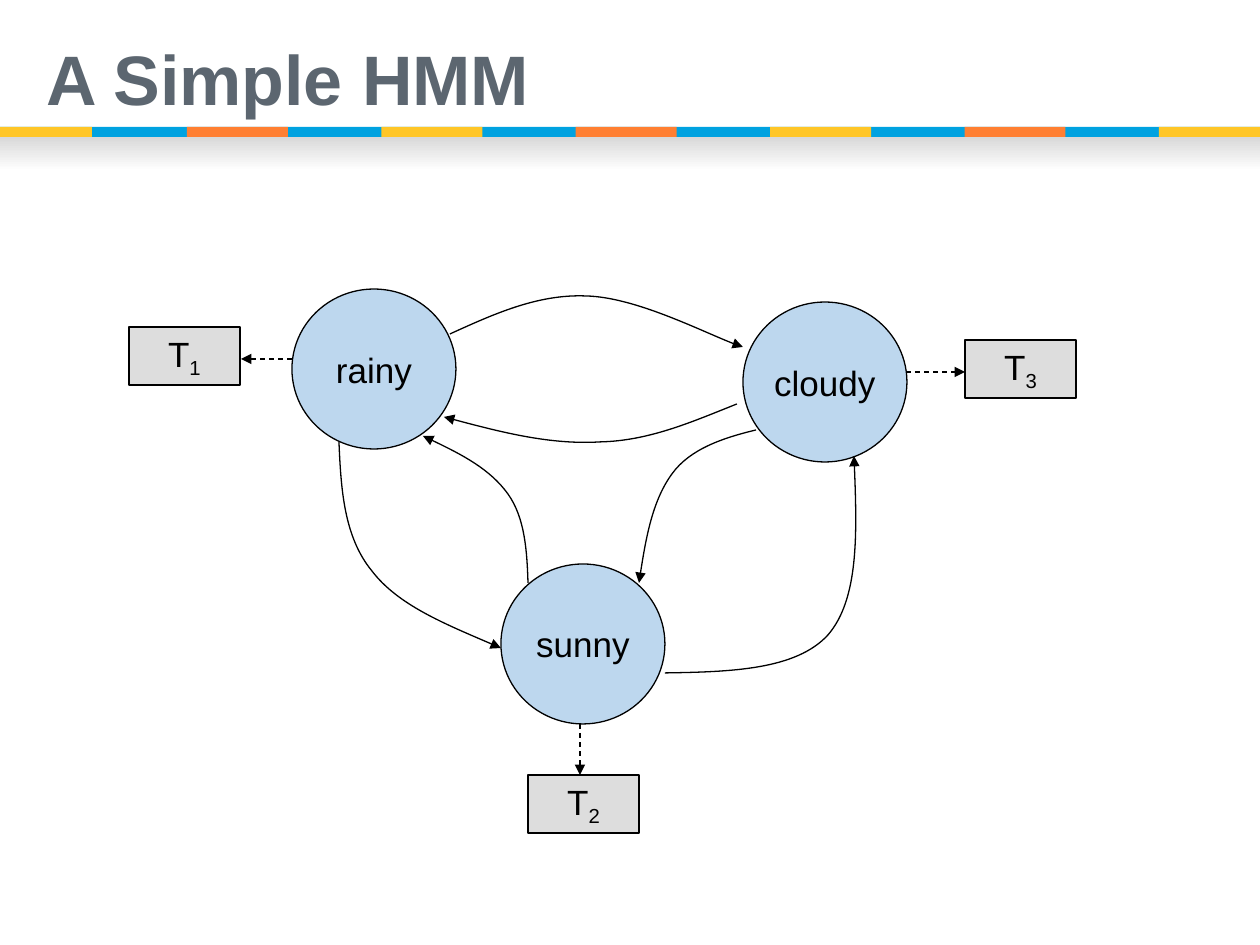
from lxml.etree import SubElement
from pptx import Presentation
from pptx.dml.color import RGBColor
from pptx.enum.dml import MSO_LINE
from pptx.enum.shapes import MSO_CONNECTOR, MSO_SHAPE
from pptx.enum.text import MSO_ANCHOR, PP_ALIGN
from pptx.oxml.ns import qn
from pptx.util import Emu, Pt

PX = 914400 // 126
WIDTH, HEIGHT = 1260, 945

BLACK = RGBColor(0x00, 0x00, 0x00)
WHITE = RGBColor(0xFF, 0xFF, 0xFF)
SLATE = RGBColor(0x5C, 0x66, 0x70)
BLUE = RGBColor(0x00, 0xA2, 0xE0)
YELLOW = RGBColor(0xFF, 0xC6, 0x27)
ORANGE = RGBColor(0xFF, 0x7F, 0x32)
STATE_BLUE = RGBColor(0xBD, 0xD7, 0xEE)
BOX_GRAY = RGBColor(0xDD, 0xDD, 0xDD)
SHADE = RGBColor(0xD9, 0xD9, 0xD9)

TITLE = "A Simple HMM"
STATE_SIZE = (164, 160)
STATES = [("rainy", 292, 289), ("sunny", 501, 564), ("cloudy", 743, 302)]
BOX_SIZE = (111, 58)
OUTPUTS = [("2", 528, 775), ("1", 129, 327), ("3", 965, 340)]
EMISSIONS = [
    ((580, 724), (580, 775)),
    ((292, 359), (241, 359)),
    ((906, 372), (965, 372)),
]
# Each transition is a start point, then three Bezier points per segment.
TRANSITIONS = {
    "rainy to cloudy": [(450, 334), (494, 314), (538, 294), (586, 296),
                        (635, 297), (717, 339), (743, 347)],
    "rainy to sunny": [(339, 442), (341, 489), (344, 537), (372, 571),
                       (398, 605), (450, 626), (501, 648)],
    "sunny to cloudy": [(665, 673), (731, 672), (796, 670), (828, 635),
                        (859, 599), (857, 527), (854, 456)],
    "cloudy to rainy": [(737, 404), (692, 422), (649, 441), (600, 442),
                        (551, 445), (496, 431), (444, 417)],
    "cloudy to sunny": [(756, 430), (723, 438), (690, 449), (672, 474),
                        (653, 500), (645, 542), (639, 583)],
    "sunny to rainy": [(528, 583), (527, 551), (525, 518), (508, 494),
                       (490, 469), (457, 452), (423, 436)],
}

STRIPE_TOP, STRIPE_HEIGHT = 127, 10
TILE_LEFT, TILE_STEP, TILE_WIDTH = 187, 194.4, 101


def emu(*lengths):
    return [Emu(round(length * PX)) for length in lengths]


def write(shape, text, size=20, color=BLACK, bold=False, subscript="",
          align=PP_ALIGN.CENTER, wrap=False, line_spacing=None):
    frame = shape.text_frame
    frame.word_wrap = wrap
    frame.vertical_anchor = MSO_ANCHOR.MIDDLE
    paragraph = frame.paragraphs[0]
    paragraph.alignment = align
    paragraph.line_spacing = line_spacing
    for part in filter(None, (text, subscript)):
        run = paragraph.add_run()
        run.text = part
        run.font.name = "Arial"
        run.font.size = Pt(size)
        run.font.bold = bold
        run.font.color.rgb = color
    if subscript:
        run.font._element.set("baseline", "-25000")


def add_filled(shapes, kind, box, fill, outlined=False):
    shape = shapes.add_shape(kind, *emu(*box))
    shape.shadow.inherit = False
    shape.fill.solid()
    shape.fill.fore_color.rgb = fill
    if outlined:
        shape.line.color.rgb = BLACK
        shape.line.width = Pt(0.75)
    else:
        shape.line.fill.background()
    return shape


def make_arrow(shape):
    shape.line.color.rgb = BLACK
    shape.line.width = Pt(0.75)
    SubElement(shape.line._get_or_add_ln(), qn("a:tailEnd"), type="triangle")


def add_curve(shapes, points):
    """Draw the points as a freeform, then turn its lines into Bezier segments."""
    start, *controls = [emu(*point) for point in points]
    builder = shapes.build_freeform(*start, scale=1.0)
    builder.add_line_segments(controls, close=False)
    curve = builder.convert_to_shape()
    curve.shadow.inherit = False
    curve.fill.background()
    outline = curve._element.spPr.find(".//" + qn("a:path"))
    lines = outline.findall(qn("a:lnTo"))
    for first in range(0, len(lines), 3):
        bezier = SubElement(outline, qn("a:cubicBezTo"))
        for line in lines[first:first + 3]:
            bezier.append(line[0])
            outline.remove(line)
    make_arrow(curve)


def add_dashed_arrow(shapes, start, end):
    arrow = shapes.add_connector(MSO_CONNECTOR.STRAIGHT, *emu(*start, *end))
    arrow.line.dash_style = MSO_LINE.DASH
    make_arrow(arrow)
    SubElement(arrow._element.spPr, qn("a:effectLst"))


def add_header(shapes):
    fade = add_filled(shapes, MSO_SHAPE.RECTANGLE, (0, 137, WIDTH, 34), WHITE)
    fade.fill.gradient()
    fade.fill.gradient_angle = 270
    for stop, color in zip(fade.fill.gradient_stops, (SHADE, WHITE)):
        stop.color.rgb = color

    tiles = [(0, WIDTH, BLUE), (0, 92, YELLOW)]
    for index in range(6):
        color = YELLOW if index % 2 else ORANGE
        tiles.append((TILE_LEFT + index * TILE_STEP, TILE_WIDTH, color))
    for left, width, color in tiles:
        add_filled(shapes, MSO_SHAPE.RECTANGLE,
                   (left, STRIPE_TOP, width, STRIPE_HEIGHT), color)

    title = shapes.add_textbox(*emu(34, 25, 1244, 116))
    write(title, TITLE, size=40, color=SLATE, bold=True,
          align=PP_ALIGN.LEFT, wrap=True, line_spacing=0.9)


def add_model(shapes):
    for name, left, top in STATES:
        state = add_filled(shapes, MSO_SHAPE.OVAL, (left, top, *STATE_SIZE),
                           STATE_BLUE, outlined=True)
        write(state, name)
    for points in TRANSITIONS.values():
        add_curve(shapes, points)
    for number, left, top in OUTPUTS:
        box = add_filled(shapes, MSO_SHAPE.RECTANGLE, (left, top, *BOX_SIZE),
                         BOX_GRAY, outlined=True)
        write(box, "T", subscript=number)
    for start, end in EMISSIONS:
        add_dashed_arrow(shapes, start, end)


def main():
    presentation = Presentation()
    presentation.slide_width, presentation.slide_height = emu(WIDTH, HEIGHT)
    slide = presentation.slides.add_slide(presentation.slide_layouts[6])
    add_header(slide.shapes)
    add_model(slide.shapes)
    presentation.save("out.pptx")


if __name__ == "__main__":
    main()
